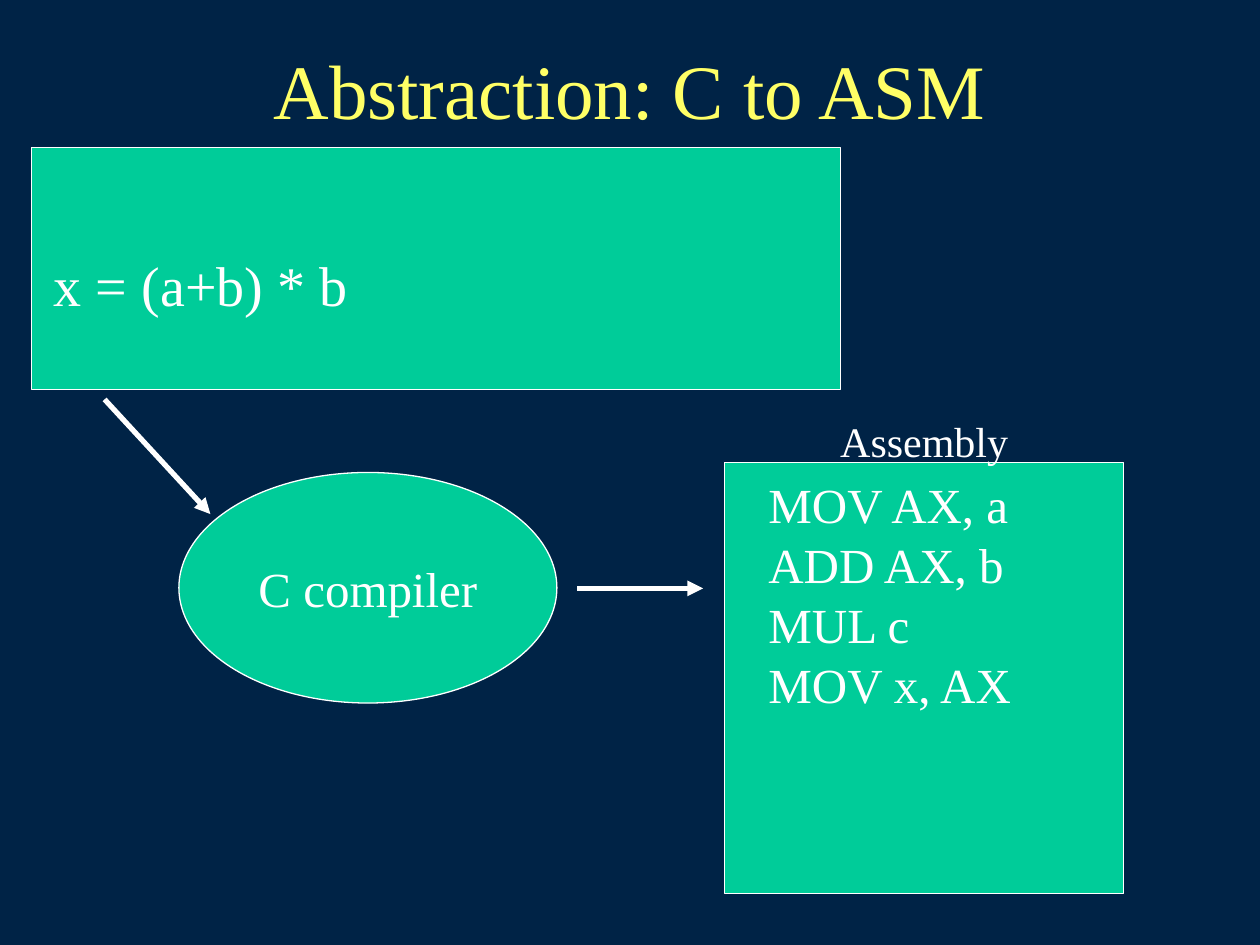
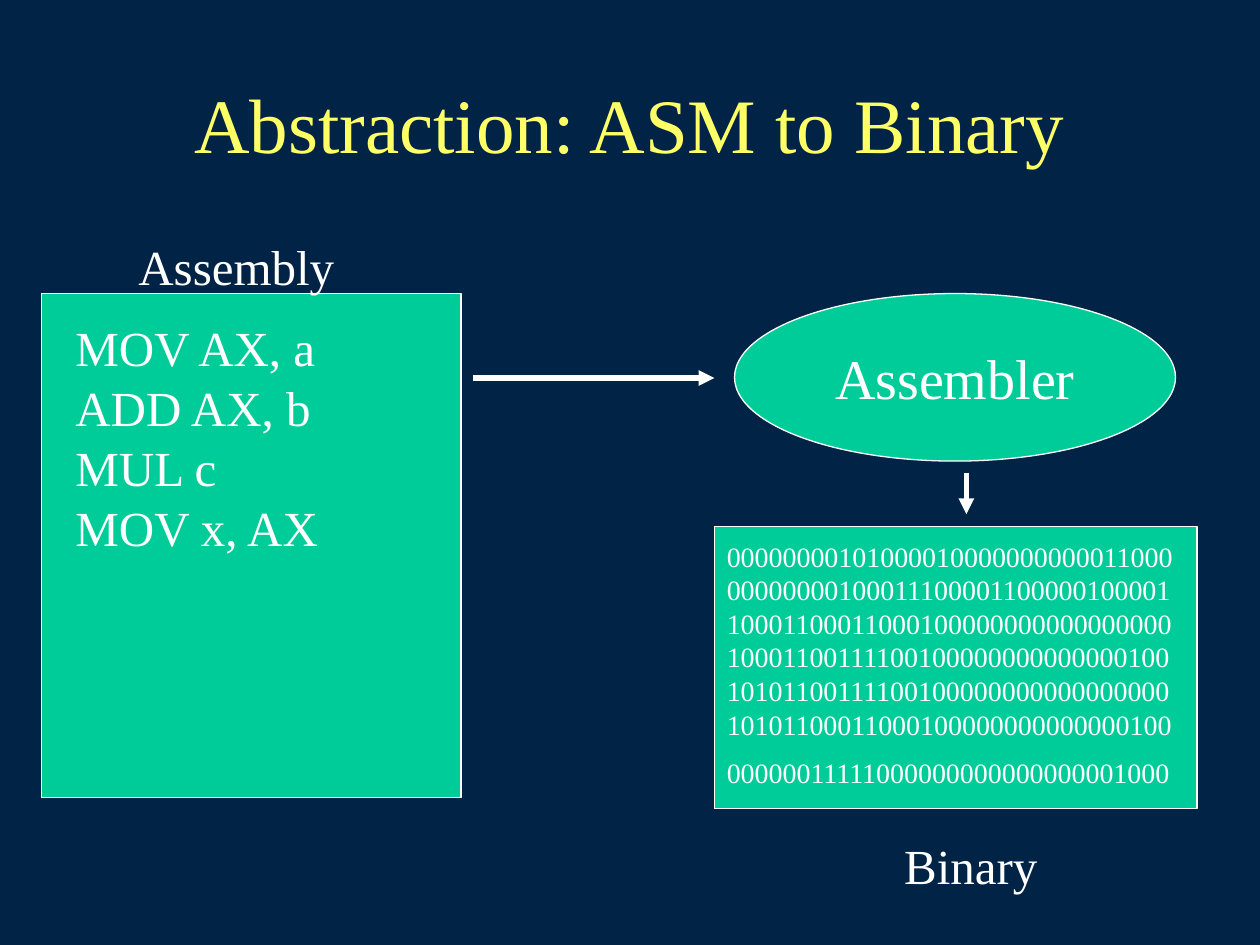
"""Build two slides on abstraction from C to assembly to binary."""
import pptx
import pptx.util
import pptx.dml.color
import pptx.enum.shapes
import pptx.enum.text
import pptx.oxml.ns
from lxml import etree

Inches = pptx.util.Inches
Pt = pptx.util.Pt
Kind = pptx.enum.shapes.MSO_SHAPE
Align = pptx.enum.text.PP_ALIGN
Anchor = pptx.enum.text.MSO_ANCHOR
qn = pptx.oxml.ns.qn

FONT = "Times New Roman"
COLORS = {"back": "002346", "box": "00CC99", "text": "FFFFFF", "title": "FFFF66"}
CODE = ["MOV AX, a", "ADD AX, b", "MUL c", "MOV x, AX"]
BITS = [
    "00000000101000010000000000011000",
    "00000000100011100001100000100001",
    "10001100011000100000000000000000",
    "10001100111100100000000000000100",
    "10101100111100100000000000000000",
    "10101100011000100000000000000100",
]
LAST = "00000011111000000000000000001000"


def color(name):
    return pptx.dml.color.RGBColor.from_string(COLORS[name])


def write(frame, lines, size=28, tint="text", align=Align.LEFT,
          anchor=Anchor.TOP, wrap=True, space=None, gaps=0):
    frame.word_wrap = wrap
    frame.vertical_anchor = anchor
    for i, line in enumerate(lines):
        para = frame.add_paragraph() if i else frame.paragraphs[0]
        para.alignment = align
        para.line_spacing = space
        para.space_before = Pt(gaps if i else 0)
        run = para.add_run()
        run.text = line
        run.font.name = FONT
        run.font.size = Pt(size)
        run.font.color.rgb = color(tint)


class Deck:
    def __init__(self):
        self.show = pptx.Presentation()
        self.show.slide_width = Inches(10)
        self.show.slide_height = Inches(7.5)
        self.slide = None

    def page(self, title, top, high):
        self.slide = self.show.slides.add_slide(self.show.slide_layouts[6])
        fill = self.slide.background.fill
        fill.solid()
        fill.fore_color.rgb = color("back")
        self.text([title], 0.75, top, 8.5, high, size=44, tint="title",
                  align=Align.CENTER, anchor=Anchor.MIDDLE)

    def text(self, lines, left, top, wide, high, **style):
        box = self.slide.shapes.add_textbox(
            Inches(left), Inches(top), Inches(wide), Inches(high))
        write(box.text_frame, lines, **style)

    def label(self, word, left, top, wide, size=28):
        self.text([word], left, top, wide, 0.57, size=size, align=Align.CENTER)

    def code(self, left, top):
        self.text(CODE, left, top, 3.25, 1.77, space=0.5, gaps=17.5)

    def shape(self, left, top, wide, high, kind=Kind.RECTANGLE):
        item = self.slide.shapes.add_shape(
            kind, Inches(left), Inches(top), Inches(wide), Inches(high))
        item.shadow.inherit = False
        item.fill.solid()
        item.fill.fore_color.rgb = color("box")
        item.line.color.rgb = color("text")
        item.line.width = Pt(0.75)
        return item

    def oval(self, word, left, top, wide, high, size):
        item = self.shape(left, top, wide, high, Kind.OVAL)
        write(item.text_frame, [word], size=size, align=Align.CENTER,
              anchor=Anchor.MIDDLE, wrap=False)

    def arrow(self, *ends):
        link = self.slide.shapes.add_connector(
            pptx.enum.shapes.MSO_CONNECTOR.STRAIGHT, *map(Inches, ends))
        link.line.color.rgb = color("text")
        link.line.width = Pt(3)
        props = link.line._get_or_add_ln()
        etree.SubElement(props, qn("a:tailEnd"), type="triangle")
        etree.SubElement(props.getparent(), qn("a:effectLst"))


def main():
    deck = Deck()

    deck.page("Abstraction: C to ASM", 0.33, 0.75)
    deck.shape(5.75, 3.67, 3.17, 3.42)
    deck.shape(0.25, 1.17, 6.42, 1.92)
    deck.text(["x = (a+b) * b"], 0.33, 1.94, 6.58, 0.63, size=32)
    deck.code(6, 3.92)
    deck.oval("C compiler", 1.42, 3.75, 3, 1.83, 28)
    deck.arrow(0.83, 3.17, 1.67, 4.08)
    deck.arrow(4.58, 4.67, 5.58, 4.67)
    deck.label("Assembly", 5.75, 3.25, 3.17, size=24)

    deck.page("Abstraction: ASM to Binary", 0.67, 0.61)
    deck.shape(5.67, 4.18, 3.83, 2.24)
    deck.shape(0.33, 2.33, 3.33, 4)
    deck.code(0.5, 2.67)
    deck.text(BITS, 5.67, 4.23, 3.83, 1.7, size=16)
    deck.text([LAST], 5.67, 5.95, 3.83, 0.37, size=16)
    deck.oval("Assembler", 5.83, 2.33, 3.5, 1.33, 32)
    deck.arrow(3.75, 3, 5.67, 3)
    deck.arrow(7.67, 3.75, 7.67, 4.08)
    deck.label("Assembly", 0.5, 1.83, 2.75)
    deck.label("Binary", 6.33, 6.58, 2.75)

    deck.show.save("out.pptx")


if __name__ == "__main__":
    main()
